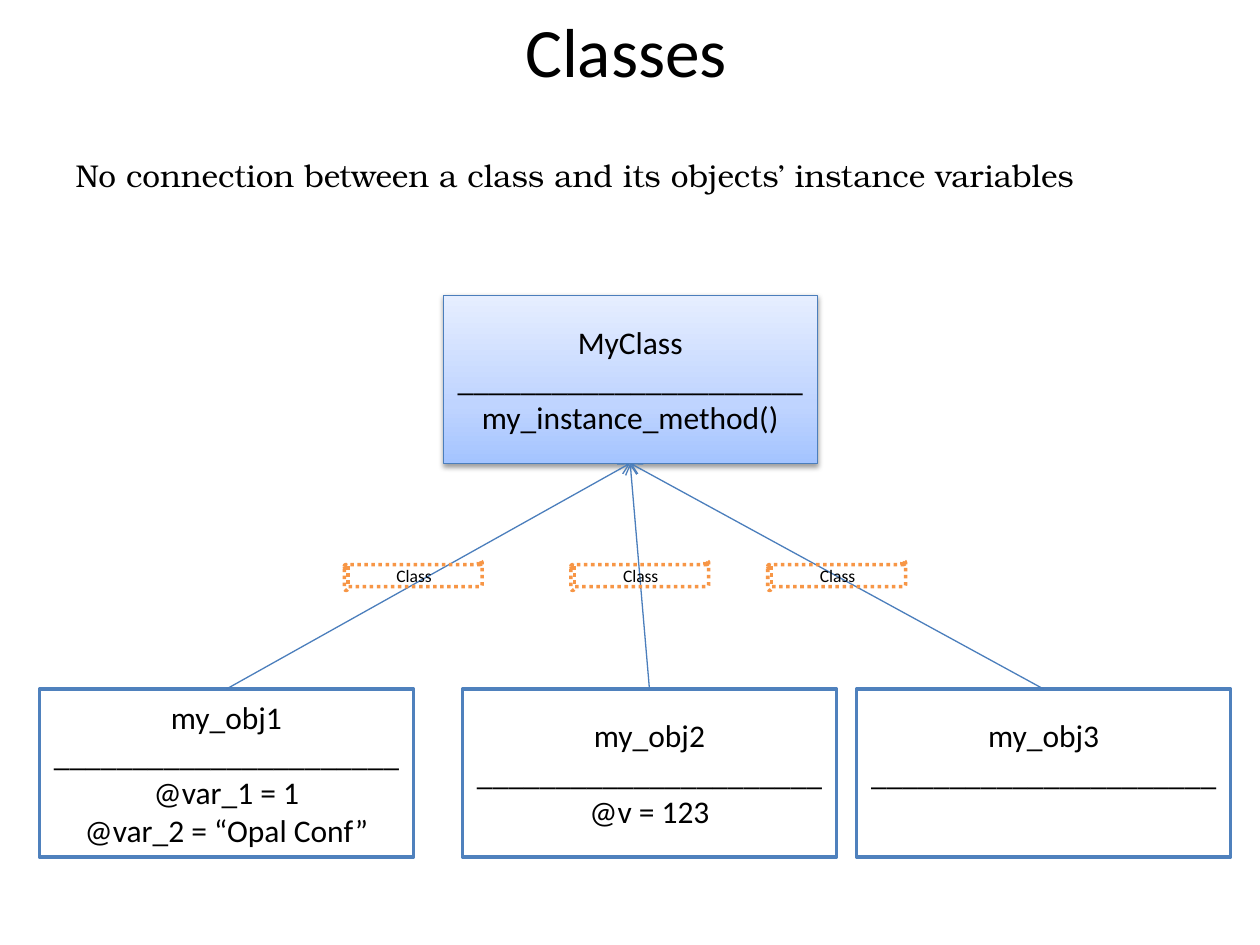
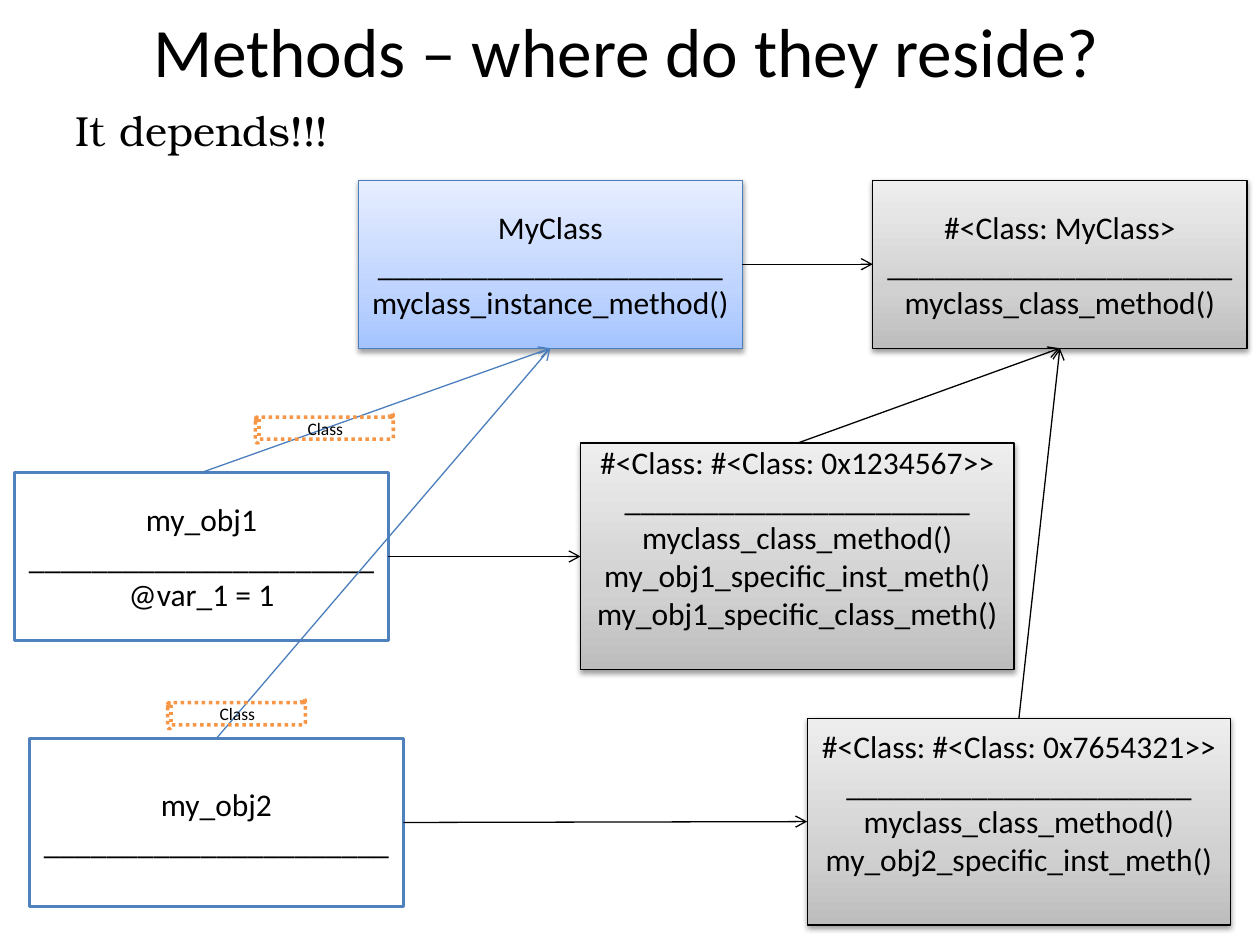
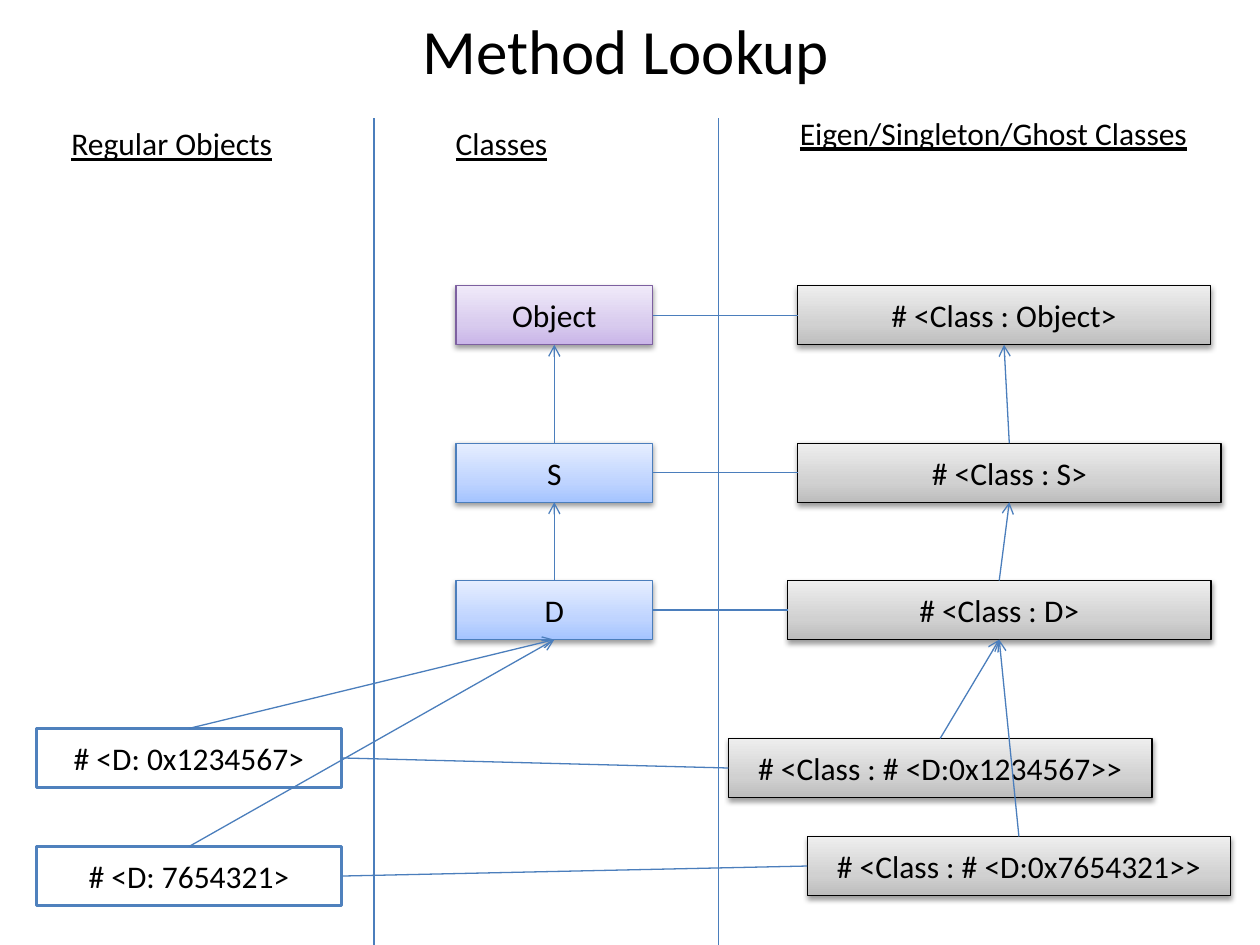
"""Build three slides on Ruby classes, method homes and method lookup."""
from lxml.etree import SubElement
from pptx import Presentation
from pptx.dml.color import RGBColor
from pptx.enum.dml import MSO_LINE
from pptx.enum.shapes import MSO_CONNECTOR, MSO_SHAPE
from pptx.enum.text import MSO_AUTO_SIZE, PP_ALIGN
from pptx.oxml.ns import qn
from pptx.util import Pt

BLACK, BLUE, ORANGE = "000000", "4B7EBC", "F79646"
SANS, SERIF = "Calibri", "TeX Gyre Bonum"
RULE = "_" * 22
LINE_HEIGHT = 22
TITLE_AREA = (33.75, 0, 648, 56.7)
BODY_AREA = (36, 56.25, 648, 483.75)
TAG_SIZE = (78.75, 16.9)

ROLES = {
    "object": (["FFFFFF"], "4F81BD", 2),
    "class": (["A4C4FF", "BFD4FF", "E6EEFF"], BLUE, 0.75),
    "root": (["C9B5E8", "D8CBEE", "F0EAF9"], "7D60A0", 0.75),
    "singleton": (["BDBDBD", "D1D1D1", "EEEEEE"], BLACK, 0.75),
}
TOP, LEFT, BOTTOM, RIGHT = range(4)
ROUTES = {
    "class of": (TOP, BOTTOM, BLUE, True),
    "ghost parent": (TOP, BOTTOM, BLACK, True),
    "ghost arrow": (RIGHT, LEFT, BLACK, True),
    "ghost line": (RIGHT, LEFT, BLUE, False),
}

CARD, BAR = (213.75, 96), 33.75
SLIDES = [
    {
        "title": ("Classes", 39.6),
        "body": ("No connection between a class and its objects’ instance variables", 18, 33),
        "outline": MSO_SHAPE.FLOWCHART_PROCESS,
        "boxes": {
            "obj1": ("object", (22.5, 393.75, *CARD),
                     ["my_obj1", RULE, "@var_1 = 1", "@var_2 = “Opal Conf”"]),
            "obj2": ("object", (264.25, 393.75, *CARD), ["my_obj2", RULE, "@v = 123"]),
            "obj3": ("object", (489.5, 393.75, *CARD), ["my_obj3", RULE]),
            "MyClass": ("class", (253.25, 168.75, *CARD),
                        ["MyClass", RULE, "my_instance_method()"]),
        },
        "raised": ["obj3"],
        "links": {"class of": [("obj1", "MyClass"), ("obj2", "MyClass"), ("obj3", "MyClass")]},
        "tags": [(196.75, 320.5), (326.25, 320.5), (438.75, 320.5)],
    },
    {
        "title": ("Methods – where do they reside?", 39.6),
        "body": ("It depends!!!", 24, 3.6),
        "outline": MSO_SHAPE.FLOWCHART_PROCESS,
        "boxes": {
            "obj1": ("object", (8.25, 270, *CARD), ["my_obj1", RULE, "@var_1 = 1"]),
            "obj2": ("object", (16.75, 422, *CARD), ["my_obj2", RULE]),
            "MyClass": ("class", (204.75, 103, 219.5, 96),
                        ["MyClass", RULE, "myclass_instance_method()"]),
            "ghost": ("singleton", (498.75, 103, *CARD),
                      ["#<Class: MyClass>", RULE, "myclass_class_method()"]),
            "ghost1": ("singleton", (331.75, 253.25, 247.75, 129.5),
                       ["#<Class: #<Class: 0x1234567>>", RULE, "myclass_class_method()",
                        "my_obj1_specific_inst_meth()", "my_obj1_specific_class_meth()"]),
            "ghost2": ("singleton", (461.25, 410.5, 242, 118),
                       ["#<Class: #<Class: 0x7654321>>", RULE, "myclass_class_method()",
                        "my_obj2_specific_inst_meth()"]),
        },
        "raised": ["ghost1", "ghost2"],
        "links": {
            "class of": [("obj1", "MyClass"), ("obj2", "MyClass")],
            "ghost arrow": [("MyClass", "ghost"), ("obj2", "ghost2"), ("obj1", "ghost1")],
            "ghost parent": [("ghost1", "ghost"), ("ghost2", "ghost")],
        },
        "tags": [(95.75, 399.5), (146, 236.25)],
    },
    {
        "title": ("Method Lookup", 36),
        "outline": MSO_SHAPE.RECTANGLE,
        "headings": [
            ("Regular Objects", (33.75, 67.5, 146.25, 29)),
            ("Classes", (253.25, 67.5, 146.25, 29)),
            ("Eigen/Singleton/Ghost Classes", (450, 61.75, 253.25, 29)),
        ],
        "dividers": [213.75, 410.5],
        "boxes": {
            "Object": ("root", (260.5, 163.25, 112.5, BAR), ["Object"]),
            "S": ("class", (260.5, 253.25, 112.5, BAR), ["S"]),
            "D": ("class", (260.5, 331.75, 112.5, BAR), ["D"]),
            "d1": ("object", (20.75, 416.25, 174.5, BAR), ["# <D: 0x1234567>"]),
            "d2": ("object", (20.75, 483.75, 174.5, BAR), ["# <D: 7654321>"]),
            "ghost Object": ("singleton", (455.75, 163.25, 236, BAR), ["# <Class : Object>"]),
            "ghost S": ("singleton", (455.75, 253.25, 242, BAR), ["# <Class : S>"]),
            "ghost D": ("singleton", (450, 331.75, 242, BAR), ["# <Class : D>"]),
            "ghost d1": ("singleton", (416.25, 422, 242, BAR), ["# <Class : # <D:0x1234567>>"]),
            "ghost d2": ("singleton", (461.25, 478, 242, BAR), ["# <Class : # <D:0x7654321>>"]),
        },
        "links": {
            "class of": [("S", "Object"), ("D", "S"), ("d1", "D"), ("d2", "D"),
                         ("ghost S", "ghost Object"), ("ghost D", "ghost S"),
                         ("ghost d1", "ghost D"), ("ghost d2", "ghost D")],
            "ghost line": [(name, f"ghost {name}") for name in ("Object", "S", "D", "d1", "d2")],
        },
    },
]


def points(lengths):
    """Convert plain numbers to lengths in points."""
    return [Pt(length) for length in lengths]


def paint(fill, colour):
    """Give a fill one solid colour."""
    fill.solid()
    fill.fore_color.rgb = RGBColor.from_string(colour)


def write(frame, lines, size, font=SANS, align=None, underline=None):
    """Fill a text frame with lines in one black style."""
    frame.text = "\n".join(lines)
    for paragraph in frame.paragraphs:
        paragraph.alignment = align
        for run in paragraph.runs:
            run.font.size, run.font.name, run.font.underline = Pt(size), font, underline
            paint(run.font.fill, BLACK)


def element(parent, tag, **attributes):
    """Append a DrawingML child and return it."""
    return SubElement(parent, qn(f"a:{tag}"), {key: str(value) for key, value in attributes.items()})


def shade(shape, colours):
    """Apply a vertical three-stop gradient and a soft lower shadow."""
    properties = shape.fill._xPr
    gradient = element(properties, "gradFill", rotWithShape=1)
    stops = element(gradient, "gsLst")
    for position, colour in zip((0, 35, 100), colours):
        element(element(stops, "gs", pos=position * 1000), "srgbClr", val=colour)
    element(gradient, "lin", ang=270 * 60000, scaled=0)
    properties.find(qn("a:prstGeom")).addnext(gradient)
    shadow = element(properties.find(qn("a:effectLst")), "outerShdw", blurRad=Pt(3.15),
                     dist=Pt(1.6), dir=90 * 60000, rotWithShape=0)
    element(element(shadow, "srgbClr", val=BLACK), "alpha", val=38000)


def place(placeholder, area):
    """Move a placeholder to an area."""
    placeholder.left, placeholder.top, placeholder.width, placeholder.height = points(area)


def add_body(slide, statement, size, inset):
    """Write the opening statement without a bullet."""
    body = slide.placeholders[1]
    place(body, BODY_AREA)
    frame = body.text_frame
    write(frame, [statement], size, SERIF)
    frame.auto_size = MSO_AUTO_SIZE.NONE
    frame.margin_top = Pt(inset)
    element(frame.paragraphs[0]._p.get_or_add_pPr(), "buNone")


def add_box(slide, outline, role, area, lines, raised):
    """Draw one object, class or singleton box."""
    colours, edge, weight = ROLES[role]
    box = slide.shapes.add_shape(outline, *points(area))
    box.shadow.inherit = False
    if len(colours) == 1:
        paint(box.fill, colours[0])
    else:
        shade(box, colours)
    paint(box.line.fill, edge)
    box.line.width = Pt(weight)
    write(box.text_frame, lines, 18, align=PP_ALIGN.CENTER)
    if raised:
        box.text_frame.margin_bottom = Pt(3.6 + LINE_HEIGHT)
    return box


def add_line(slide, colour, headed=False, ends=(0, 0, 0, 0)):
    """Draw a thin line, with an arrowhead if wanted."""
    line = slide.shapes.add_connector(MSO_CONNECTOR.STRAIGHT, *points(ends))
    paint(line.line.fill, colour)
    line.line.width = Pt(0.75)
    if headed:
        element(line.line._get_or_add_ln(), "tailEnd", type="arrow")
    element(line._element.spPr, "effectLst")
    return line


def add_tag(slide, corner):
    """Draw a dotted scroll that labels a class link."""
    tag = slide.shapes.add_shape(MSO_SHAPE.HORIZONTAL_SCROLL, *points(corner + TAG_SIZE))
    tag.shadow.inherit = False
    tag.fill.background()
    paint(tag.line.fill, ORANGE)
    tag.line.width = Pt(2)
    tag.line.dash_style = MSO_LINE.ROUND_DOT
    write(tag.text_frame, ["Class"], 10, align=PP_ALIGN.CENTER)


def add_slide(deck, content):
    """Build one slide from its content."""
    slide = deck.slides.add_slide(deck.slide_layouts[1 if "body" in content else 5])
    title, title_size = content["title"]
    place(slide.shapes.title, TITLE_AREA)
    write(slide.shapes.title.text_frame, [title], title_size, align=PP_ALIGN.CENTER)
    if "body" in content:
        add_body(slide, *content["body"])
    for heading, area in content.get("headings", []):
        frame = slide.shapes.add_textbox(*points(area)).text_frame
        frame.word_wrap = True
        write(frame, [heading], 18, underline=True)
    boxes = {name: add_box(slide, content["outline"], *box, name in content.get("raised", []))
             for name, box in content["boxes"].items()}
    for divider in content.get("dividers", []):
        add_line(slide, BLUE, ends=(divider, 67.5, divider, 540))
    for route, pairs in content["links"].items():
        start_side, end_side, colour, headed = ROUTES[route]
        for start, end in pairs:
            link = add_line(slide, colour, headed)
            link.begin_connect(boxes[start], start_side)
            link.end_connect(boxes[end], end_side)
    for corner in content.get("tags", []):
        add_tag(slide, corner)


def main():
    """Build and save the deck."""
    deck = Presentation()
    deck.slide_width, deck.slide_height = Pt(720), Pt(540)
    for content in SLIDES:
        add_slide(deck, content)
    deck.save("out.pptx")


if __name__ == "__main__":
    main()
